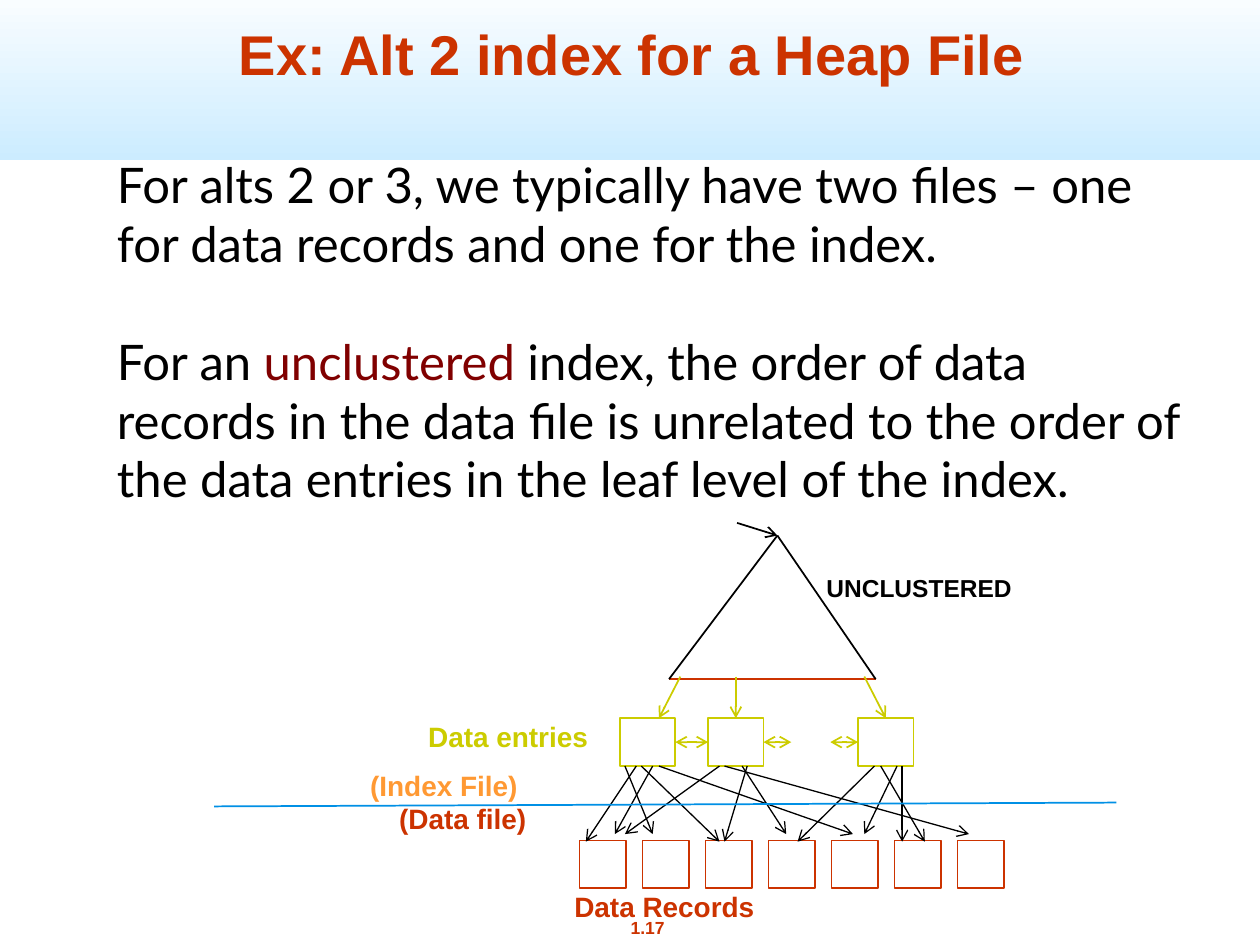
from collections import namedtuple
from pptx import Presentation
from pptx.dml.color import RGBColor
from pptx.enum.shapes import MSO_CONNECTOR, MSO_SHAPE
from pptx.enum.text import MSO_ANCHOR, MSO_AUTO_SIZE, PP_ALIGN
from pptx.oxml.ns import qn
from pptx.util import Inches, Pt
from lxml.etree import SubElement

Box = namedtuple("Box", "x y w h")


class Theme:
    """Colours, fonts and sizes of the slide."""
    red, black, lime = "CC3300", "000000", "CCCC00"
    amber, blue, maroon = "FF9933", "0090E5", "800000"
    white, sky = "FFFFFF", "CCECFF"
    head, text = "Arial", "Lato"
    title, body, label, note, page = 32, 28, 16, 14, 10
    thick, thin = 1, 0.75


def color(code):
    """Turn a hex code into a colour."""
    return RGBColor.from_string(code)


def style(font, face, size, tint, bold=False):
    """Set the look of a font."""
    font.name, font.size, font.bold = face, Pt(size), bold
    font.color.rgb = color(tint)


def frame(slide, box, wrap=True):
    """Add a text box and return its frame."""
    shape = slide.shapes.add_textbox(*map(Inches, box))
    shape.text_frame.word_wrap = wrap
    return shape.text_frame


def label(slide, box, text, tint, size=Theme.label, align=PP_ALIGN.LEFT):
    """Add one bold line of text that does not wrap."""
    area = frame(slide, box, False)
    area.auto_size = MSO_AUTO_SIZE.SHAPE_TO_FIT_TEXT
    para = area.paragraphs[0]
    para.text, para.alignment = text, align
    style(para.font, Theme.head, size, tint, True)


def line(slide, start, end, tint, width=Theme.thick, head=False, tail=False):
    """Add a straight line with optional arrowheads at its start and end."""
    link = slide.shapes.add_connector(
        MSO_CONNECTOR.STRAIGHT, *map(Inches, (*start, *end)))
    link.line.color.rgb = color(tint)
    link.line.width = Pt(width)
    stroke = link.line._get_or_add_ln()
    for tag, used in (("a:headEnd", head), ("a:tailEnd", tail)):
        if used:
            SubElement(stroke, qn(tag), type="arrow", w="med", len="med")
    SubElement(link._element.spPr, qn("a:effectLst"))
    return link


def square(slide, box, tint):
    """Add an outlined box."""
    shape = slide.shapes.add_shape(MSO_SHAPE.RECTANGLE, *map(Inches, box))
    shape.shadow.inherit = False
    shape.fill.background()
    shape.line.color.rgb = color(tint)
    shape.line.width = Pt(Theme.thick)
    return shape


def banner(slide, box):
    """Draw the shaded band and the title on it."""
    band = slide.shapes.add_shape(MSO_SHAPE.RECTANGLE, *map(Inches, box))
    band.shadow.inherit = False
    band.line.fill.background()
    band.fill.gradient()
    band.fill.gradient_angle = 270
    for stop, tint, place in zip(band.fill.gradient_stops,
                                 (Theme.white, Theme.sky), (0, 1)):
        stop.color.rgb, stop.position = color(tint), place
    area = frame(slide, Box(box.x + 0.6, box.y + 0.24, box.w - 1.17, 0.67))
    area.vertical_anchor = MSO_ANCHOR.BOTTOM
    para = area.paragraphs[0]
    para.text, para.alignment = "Ex: Alt 2 index for a Heap File", PP_ALIGN.CENTER
    style(para.font, Theme.head, Theme.title, Theme.red, True)


def body(slide, box):
    """Write the two paragraphs of running text."""
    area = frame(slide, box)
    first, second = area.paragraphs[0], area.add_paragraph()
    first.text = ("For alts 2 or 3, we typically have two files – one "
                  "for data records and one for the index.")
    for text in ("For an ", "unclustered",
                 " index, the order of data records in the data file is "
                 "unrelated to the order of the data entries in the leaf "
                 "level of the index."):
        second.add_run().text = text
    second.space_before = Pt(1.2 * Theme.body)
    for para in (first, second):
        para._p.get_or_add_pPr().set("marL", str(Inches(0.5)))
        style(para.font, Theme.text, Theme.body, Theme.black)
    second.runs[1].font.color.rgb = color(Theme.maroon)


def tree(slide, box):
    """Draw the index tree, its leaves, the records and the pointers."""
    def at(x, y):
        return box.x + x, box.y + y

    for i in range(7):
        square(slide, Box(*at(0.5 * i, 2.52), 0.37, 0.38), Theme.red)
    top, left, right = at(1.57, 0.1), at(0.71, 1.24), at(2.35, 1.24)
    line(slide, left, right, Theme.red)
    line(slide, left, top, Theme.black)
    line(slide, top, right, Theme.black)
    line(slide, at(1.25, 0), top, Theme.black, tail=True)

    leaves = [square(slide, Box(*at(x, 1.55), 0.44, 0.38), Theme.lime)
              for x in (0.32, 1.02, 2.21)]
    for x, end, leaf in ((0.8, 0.63, None), (1.24, 1.24, leaves[1]),
                         (2.26, 2.43, leaves[2])):
        link = line(slide, at(x, 1.22), at(end, 1.55), Theme.lime, tail=True)
        if leaf:
            link.end_connect(leaf, 0)
    for x, end, prev, succ in ((0.76, 1.02, leaves[0], leaves[1]),
                               (1.46, 1.68, leaves[1], None),
                               (1.99, 2.21, None, leaves[2])):
        link = line(slide, at(x, 1.74), at(end, 1.74), Theme.lime,
                    head=True, tail=True)
        if prev:
            link.begin_connect(prev, 3)
        if succ:
            link.end_connect(succ, 1)

    high, low = 2.47, 2.53
    for x, end, depth in (
            (0.36, 0.58, high), (0.45, 0.05, low), (0.49, 1.11, low),
            (0.58, 0.28, high), (0.63, 2.17, high), (1.11, 0.36, high),
            (1.15, 3.09, high), (1.33, 1.15, low), (1.29, 1.64, high),
            (2.34, 1.73, low), (2.39, 2.74, low), (2.52, 2.26, high),
            (2.56, 2.56, low)):
        line(slide, at(x, 1.93), at(end, depth), Theme.black, Theme.thin,
             tail=True)


def legend(slide, box):
    """Draw the line between the files and the names of the parts."""
    line(slide, (box.x, box.y + 1.9), (box.x + box.w, box.y + 1.87), Theme.blue)
    for x, y, w, text, tint, size in (
            (1.14, 1.55, 1.37, "(Index File)", Theme.amber, Theme.label),
            (1.37, 1.81, 1.21, "(Data file)", Theme.red, Theme.label),
            (1.6, 1.16, 1.47, "Data entries", Theme.lime, Theme.label),
            (2.76, 2.51, 1.63, "Data Records", Theme.red, Theme.label),
            (4.76, 0, 1.68, "UNCLUSTERED", Theme.black, Theme.note)):
        label(slide, Box(box.x + x, box.y + y, w, 0.37), text, tint, size)


def main():
    """Build the slide and save it."""
    deck = Presentation()
    deck.slide_width, deck.slide_height = Inches(10), Inches(7.5)
    slide = deck.slides.add_slide(deck.slide_layouts[6])
    banner(slide, Box(0, -0.17, 10, 1.44))
    label(slide, Box(4.65, 7.23, 0.98, 0.27), "1.17", Theme.red, Theme.page,
          PP_ALIGN.CENTER)
    tree(slide, Box(4.6, 4.15, 3.37, 2.9))
    legend(slide, Box(1.7, 4.5, 7.16, 2.88))
    body(slide, Box(0.33, 1.18, 9.25, 3.37))
    deck.save("out.pptx")


if __name__ == "__main__":
    main()
